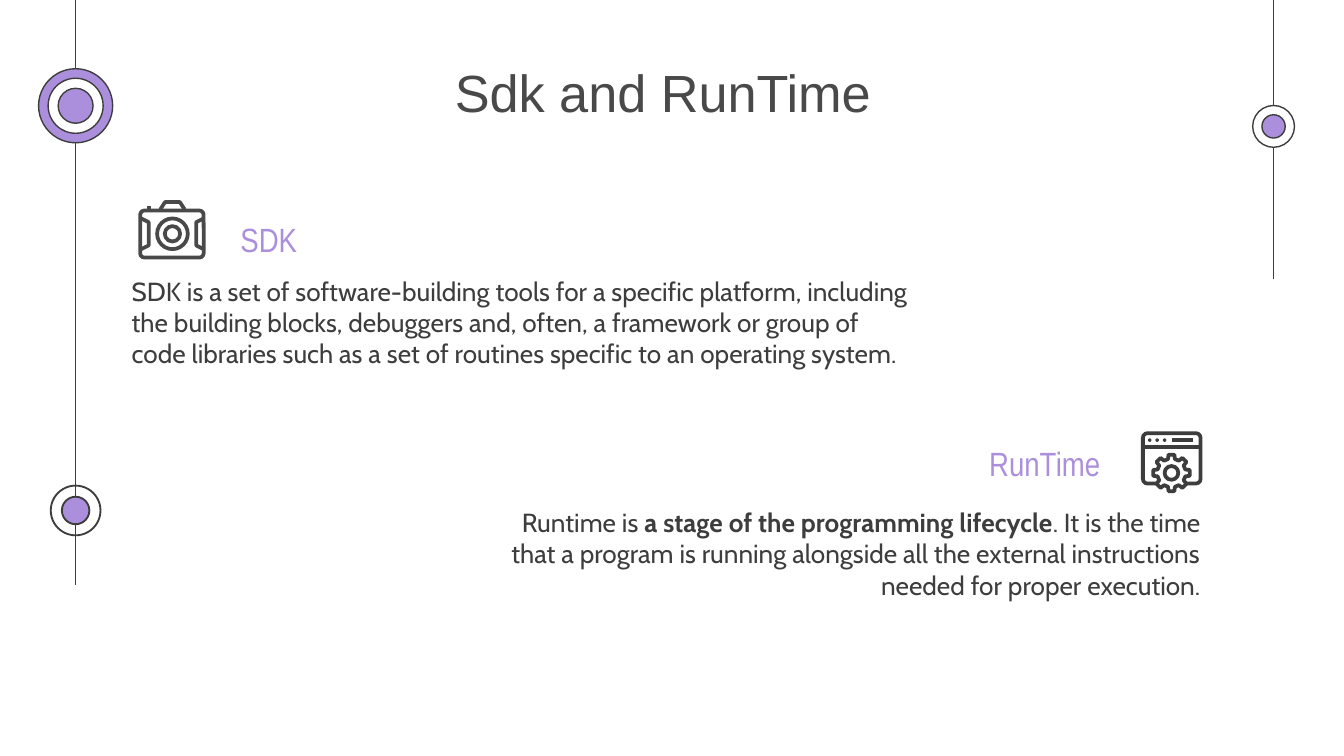
"""Build the "Sdk and RunTime" slide with its timelines and line icons."""
import dataclasses
import math

import lxml.etree
import pptx
import pptx.dml.color
import pptx.enum.shapes
import pptx.enum.text
import pptx.oxml.ns
import pptx.util

Cm = pptx.util.Cm
Align = pptx.enum.text.PP_ALIGN
Preset = pptx.enum.shapes.MSO_SHAPE


@dataclasses.dataclass(frozen=True)
class Theme:
    ink: str = "3D3D3D"
    gray: str = "494949"
    purple: str = "AB8FDC"
    white: str = "FFFFFF"
    title_size: int = 28
    heading_size: int = 18
    body_size: int = 14
    thin: float = 0.75
    icon: float = 2


theme = Theme()


def add_text(text, *, box, size, font, color, align=Align.LEFT):
    """Add a text box; words between ** marks are bold."""
    shape = slide.shapes.add_textbox(*map(Cm, box))
    frame = shape.text_frame
    frame.word_wrap = True
    frame.margin_left = frame.margin_right = Cm(0.25)
    frame.margin_top = frame.margin_bottom = Cm(0.25)
    paragraph = frame.paragraphs[0]
    paragraph.alignment = align
    for index, part in enumerate(text.split("**")):
        run = paragraph.add_run()
        run.text = part
        run.font.bold = index % 2 == 1
        run.font.name = font
        run.font.size = pptx.util.Pt(size)
        run.font.color.rgb = pptx.dml.color.RGBColor.from_string(color)


def paint(shape, fill=None, line=theme.ink, width=theme.thin):
    """Set fill and line, and remove the shadow."""
    if fill:
        shape.fill.solid()
        shape.fill.fore_color.rgb = pptx.dml.color.RGBColor.from_string(fill)
    elif hasattr(shape, "fill"):
        shape.fill.background()
    shape.line.color.rgb = pptx.dml.color.RGBColor.from_string(line)
    shape.line.width = pptx.util.Pt(width)
    properties = shape._element.spPr
    lxml.etree.SubElement(properties, pptx.oxml.ns.qn("a:effectLst"))


presentation = pptx.Presentation()
presentation.slide_width = Cm(25.4)
presentation.slide_height = Cm(14.29)
slide = presentation.slides.add_slide(presentation.slide_layouts[6])

gear_x, gear_y = 22.14, 8.94
camera_x, camera_y = 3.26, 4.42

segments = [
    (1.43, 0, 1.43, 11.05, theme.ink, theme.thin),
    (24.07, 0, 24.07, 5.28, theme.ink, theme.thin),
    (2.81, 3.9, 2.81, 3.96, theme.gray, theme.icon),
    (21.6, 8.45, 22.69, 8.45, theme.ink, theme.icon),
    (22.14, 8.32, 22.55, 8.32, theme.ink, theme.icon),
]
for left, top, right, bottom, color, width in segments:
    connector = slide.shapes.add_connector(
        pptx.enum.shapes.MSO_CONNECTOR.STRAIGHT, *map(Cm, (left, top, right, bottom)))
    paint(connector, line=color, width=width)

frames = [
    (2.65, 3.98, 1.2, 0.89, theme.gray),
    (21.6, 8.19, 1.09, 0.95, theme.ink),
]
for left, top, width, height, color in frames:
    frame = slide.shapes.add_shape(
        Preset.ROUNDED_RECTANGLE, *map(Cm, (left, top, width, height)))
    frame.adjustments[0] = 0.09
    paint(frame, line=color, width=theme.icon)

gear_points = []
for tooth in range(8):
    for offset, radius in ((-14, 0.27), (-9, 0.35), (9, 0.35), (14, 0.27)):
        angle = math.radians(45 * tooth + offset)
        gear_points.append((gear_x + radius * math.cos(angle),
                            gear_y + radius * math.sin(angle)))
left_grip = [(2.67, 4.13), (2.81, 4.2), (2.81, 4.64), (2.67, 4.71)]
right_grip = [(2 * camera_x - x, y) for x, y in left_grip]
viewfinder = [(3.03, 3.96), (3.12, 3.82), (3.4, 3.82), (3.49, 3.96)]
outlines = [
    (gear_points, True, theme.white, theme.ink),
    (left_grip, False, None, theme.gray),
    (right_grip, False, None, theme.gray),
    (viewfinder, False, None, theme.gray),
]
for points, closed, fill, color in outlines:
    corners = [(Cm(x), Cm(y)) for x, y in points]
    builder = slide.shapes.build_freeform(*corners[0])
    builder.add_line_segments(corners[1:], close=closed)
    paint(builder.convert_to_shape(), fill, color, theme.icon)

circles = [
    (1.43, 9.65, 0.94, None, theme.ink, 1),
    (1.43, 9.65, 0.52, theme.purple, theme.ink, 1),
    (24.07, 2.39, 0.79, theme.white, theme.ink, theme.thin),
    (24.07, 2.39, 0.44, theme.purple, theme.ink, theme.thin),
    (1.43, 2, 1.4, theme.purple, theme.ink, theme.thin),
    (1.43, 2, 1.04, theme.white, theme.ink, theme.thin),
    (1.43, 2, 0.66, theme.purple, theme.ink, theme.thin),
    (camera_x, camera_y, 0.58, None, theme.gray, theme.icon),
    (camera_x, camera_y, 0.29, None, theme.gray, theme.icon),
    (gear_x, gear_y, 0.26, None, theme.ink, theme.icon),
]
for dot in range(3):
    circles.append((21.73 + 0.14 * dot, 8.32, 0.04, theme.ink, theme.ink, theme.thin))
for center_x, center_y, diameter, fill, color, width in circles:
    circle = slide.shapes.add_shape(
        Preset.OVAL, Cm(center_x - diameter / 2), Cm(center_y - diameter / 2),
        Cm(diameter), Cm(diameter))
    paint(circle, fill, color, width)

add_text("Sdk and RunTime", box=(4.78, 0.89, 15.49, 1.65), size=theme.title_size,
         font="Arial", color=theme.gray, align=Align.CENTER)
for heading, box in (("SDK", (4.04, 3.89, 2.08, 0.97)),
                     ("RunTime", (18.36, 8.13, 2.77, 1.09))):
    add_text(heading, box=box, size=theme.heading_size, font="Arial Narrow",
             color=theme.purple, align=Align.CENTER)

descriptions = [
    ("SDK is a set of software-building tools for a specific platform, including the "
     "building blocks, debuggers and, often, a framework or group of code libraries "
     "such as a set of routines specific to an operating system.",
     (2.24, 4.95, 15.34, 3), Align.LEFT),
    ("Runtime is **a stage of the programming lifecycle**. It is the time that a "
     "program is running alongside all the external instructions needed for proper "
     "execution.",
     (8.79, 9.32, 14.15, 3), Align.RIGHT),
]
for description, box, align in descriptions:
    add_text(description, box=box, size=theme.body_size, font="Cabin",
             color=theme.ink, align=align)

presentation.save("out.pptx")
